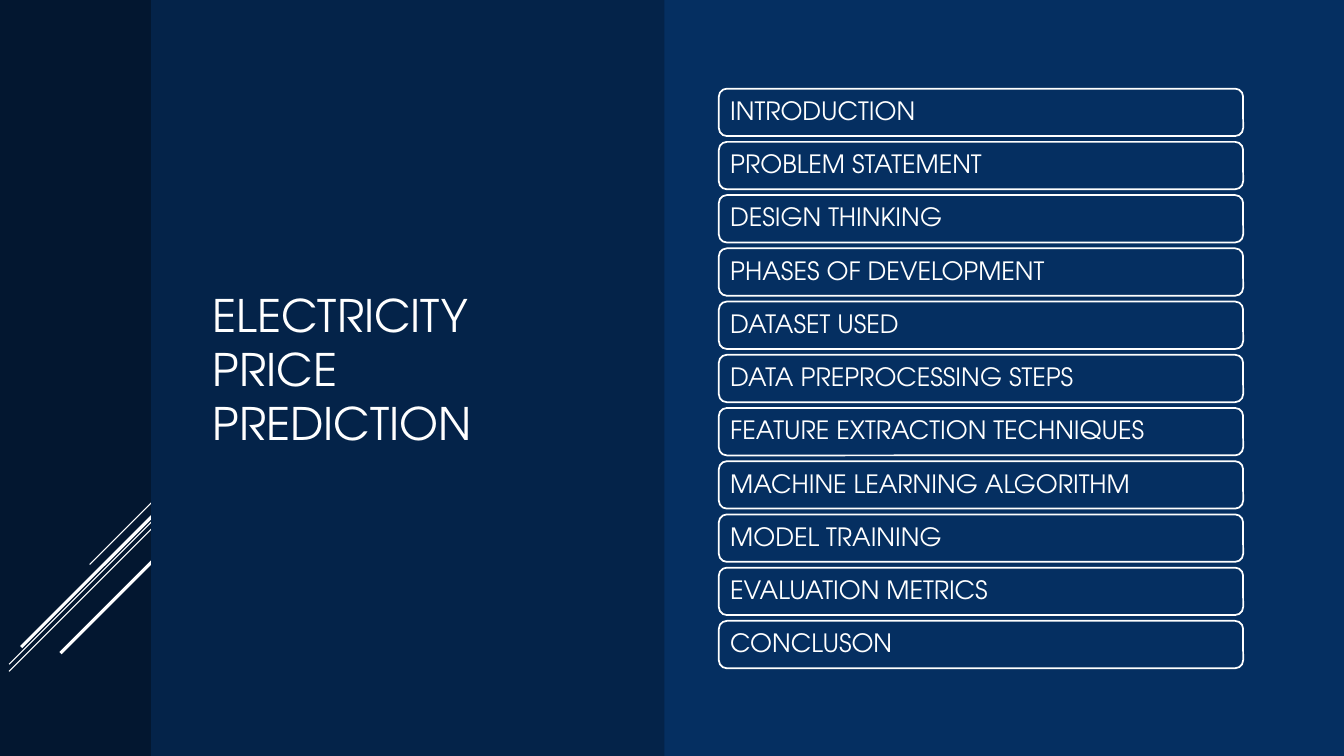
from lxml.etree import SubElement
from pptx import Presentation
from pptx.dml.color import RGBColor
from pptx.enum.shapes import MSO_CONNECTOR, MSO_SHAPE
from pptx.enum.text import MSO_ANCHOR, MSO_AUTO_SIZE, PP_ALIGN
from pptx.oxml.ns import qn
from pptx.util import Pt

PX = 9144  # EMU per px, 100 px to the inch
SLIDE_W, SLIDE_H = 1333, 750
FONT = "TeX Gyre Adventor"

WHITE = RGBColor(0xFF, 0xFF, 0xFF)
BLUE = RGBColor(0x05, 0x2F, 0x61)
NAVY = RGBColor(0x04, 0x23, 0x49)
MIDNIGHT = RGBColor(0x03, 0x17, 0x30)

TOPICS = [
    "INTRODUCTION",
    "PROBLEM STATEMENT",
    "DESIGN THINKING",
    "PHASES OF DEVELOPMENT",
    "DATASET USED",
    "DATA PREPROCESSING STEPS",
    "FEATURE EXTRACTION TECHNIQUES",
    "MACHINE LEARNING ALGORITHM",
    "MODEL TRAINING",
    "EVALUATION METRICS",
    "CONCLUSON",
]

# Diagonal strokes: top and horizontal run from the right edge, line width in points
STROKES = [(0, 75, 0.75), (19, 155, 0.75), (26, 155, 0.75), (14, 143, 2.25), (59, 104, 2.25)]


def emu(*lengths):
    return [round(length * PX) for length in lengths]


def apply_format(target, values):
    for name, value in values.items():
        setattr(target, name, value)


def format_text(shape, text, size, margins, paragraph_format):
    frame = shape.text_frame
    apply_format(frame, {"text": text, "word_wrap": True, "auto_size": MSO_AUTO_SIZE.NONE,
                         "vertical_anchor": MSO_ANCHOR.MIDDLE, **margins})
    paragraph = frame.paragraphs[0]
    apply_format(paragraph, {"alignment": PP_ALIGN.LEFT, **paragraph_format})
    apply_format(paragraph.font, {"name": FONT, "size": Pt(size)})
    paragraph.font.color.rgb = WHITE


def add_panel(slide, box, fill, kind=MSO_SHAPE.RECTANGLE):
    panel = slide.shapes.add_shape(kind, *emu(*box))
    panel.shadow.inherit = False
    panel.fill.solid()
    panel.fill.fore_color.rgb = fill
    panel.line.fill.background()
    return panel


def add_strokes(slide, box):
    left, top, width, _ = box
    right = left + width
    for drop, run, weight in STROKES:
        start_y = top + drop
        stroke = slide.shapes.add_connector(
            MSO_CONNECTOR.STRAIGHT, *emu(right, start_y, right - run, start_y + run))
        stroke.line.color.rgb = WHITE
        stroke.line.width = Pt(weight)
        SubElement(stroke.element.spPr, qn("a:effectLst"))


def add_title(slide, box):
    title = slide.shapes.title
    apply_format(title, dict(zip(("left", "top", "width", "height"), emu(*box))))
    format_text(title, "ELECTRICITY PRICE PREDICTION", 32, {}, {})
    # Bring the title in front of the panels
    slide.shapes.element.append(title.element)


def add_agenda(slide, box):
    left, top, width, height = box
    row_height = 47
    pitch = (height - row_height) / (len(TOPICS) - 1)
    margins = dict(zip(("margin_left", "margin_top", "margin_right", "margin_bottom"),
                       emu(9, 9, 9, 9)))
    for index, topic in enumerate(TOPICS):
        row = add_panel(slide, (left, top + index * pitch, width, row_height), BLUE,
                        MSO_SHAPE.ROUNDED_RECTANGLE)
        row.line.color.rgb = WHITE
        row.line.width = Pt(1.25)
        format_text(row, topic, 18, margins, {"line_spacing": 0.9, "space_after": Pt(6)})


def main():
    deck = Presentation()
    deck.slide_width, deck.slide_height = emu(SLIDE_W, SLIDE_H)
    slide = deck.slides.add_slide(deck.slide_layouts[5])

    # Backdrop: the title panel trims the right ends of the strokes
    add_panel(slide, (0, 0, SLIDE_W, SLIDE_H), BLUE)
    add_panel(slide, (0, 0, 157, SLIDE_H), MIDNIGHT)
    add_strokes(slide, (9, 485, 155, 182))
    add_panel(slide, (150, 0, 509, SLIDE_H), NAVY)

    # Content
    add_title(slide, (201, 75, 405, 581))
    add_agenda(slide, (713, 88, 520, 575))
    deck.save("out.pptx")


if __name__ == "__main__":
    main()
